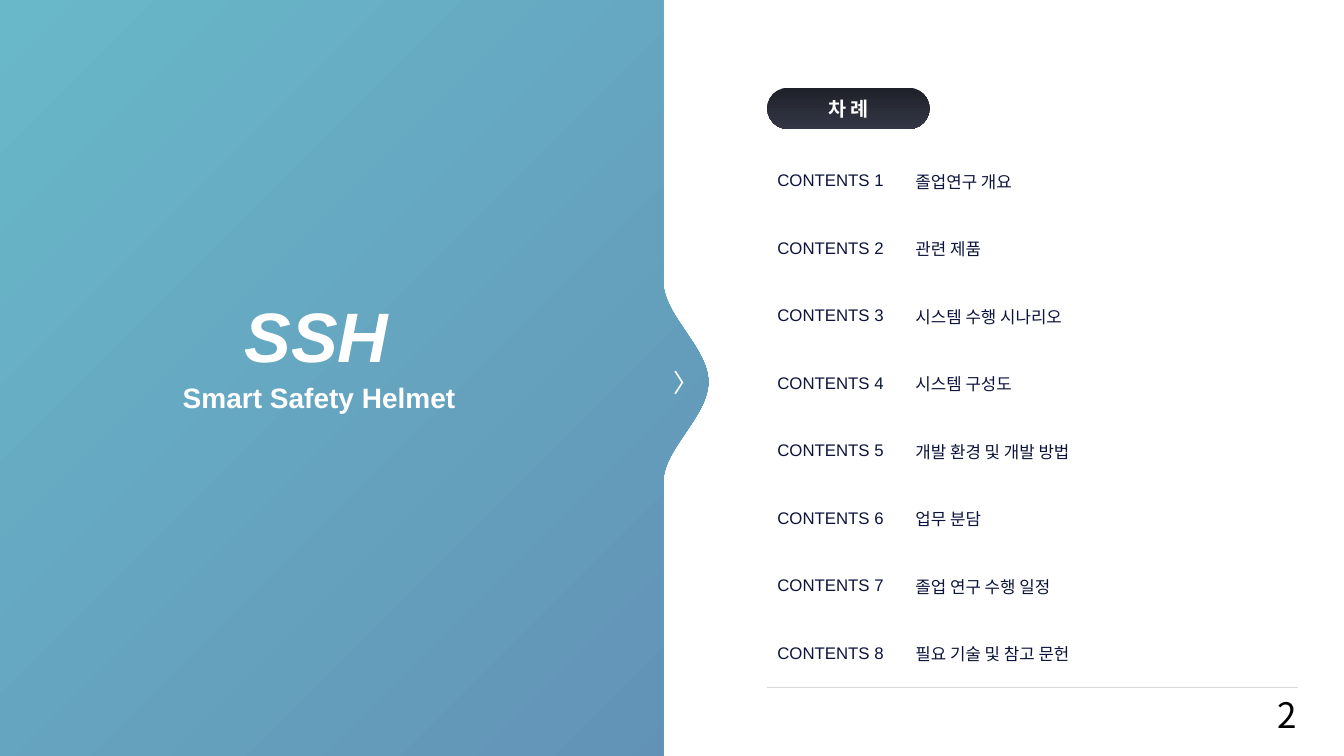
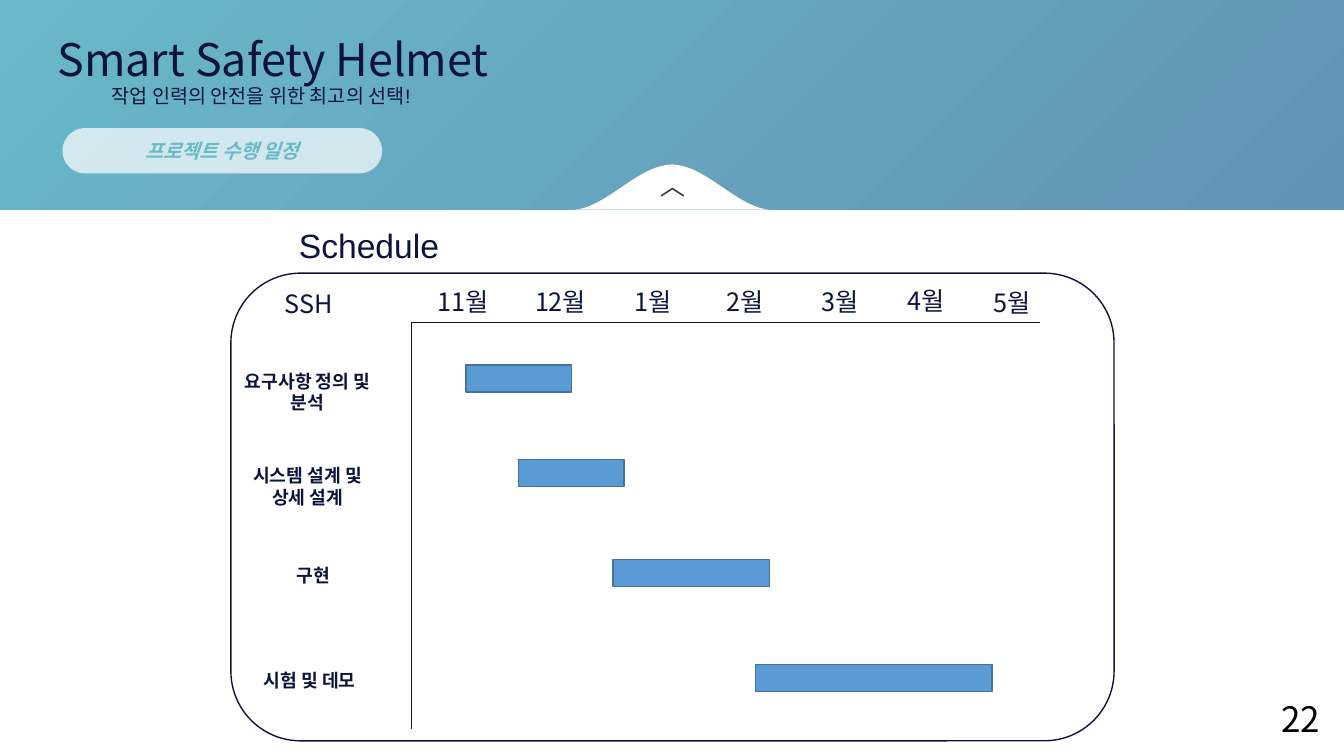
import pptx
import pptx.util
import pptx.dml.color
import pptx.enum.shapes
import pptx.enum.text
import pptx.oxml
import pptx.oxml.ns

Inches = pptx.util.Inches
RGBColor = pptx.dml.color.RGBColor
Shapes = pptx.enum.shapes.MSO_SHAPE
Align = pptx.enum.text.PP_ALIGN
Anchor = pptx.enum.text.MSO_ANCHOR

TEAL = RGBColor(0x69, 0xB8, 0xC9)
BLUE = RGBColor(0x62, 0x92, 0xB6)
PILL_TEAL = RGBColor(0x68, 0xBA, 0xC6)
PILL_TOP = RGBColor(0x1E, 0x21, 0x29)
PILL_BOTTOM = RGBColor(0x33, 0x37, 0x45)
CHEVRON_DARK = RGBColor(0x34, 0x38, 0x44)
NAVY = RGBColor(0x0D, 0x14, 0x3C)
BAR_FILL = RGBColor(0x5B, 0x9B, 0xD5)
BAR_LINE = RGBColor(0x43, 0x73, 0x9E)
WHITE = RGBColor(0xFF, 0xFF, 0xFF)
BLACK = RGBColor(0, 0, 0)
RULE_GRAY = "D9D9D9"

LATIN = "Arial"
KOREAN = "Noto Sans CJK KR"
WIDTH, HEIGHT = 13.33, 7.5
PANEL_WIDTH, BAND_HEIGHT = 6.58, 2.08

PROJECT = "Smart Safety Helmet"
CONTENTS = [
    "졸업연구 개요", "관련 제품", "시스템 수행 시나리오", "시스템 구성도",
    "개발 환경 및 개발 방법", "업무 분담", "졸업 연구 수행 일정", "필요 기술 및 참고 문헌",
]
COLUMN_WIDTHS = [1.37, 3.89]
ROW_HEIGHT = 0.67

# month, centre, top
MONTHS = [
    ("11월", 4.59, 2.79), ("12월", 5.56, 2.79), ("1월", 6.48, 2.79), ("2월", 7.39, 2.79),
    ("3월", 8.33, 2.79), ("4월", 9.19, 2.78), ("5월", 10.04, 2.8),
]
# task, label centre, label width, top, bar left, bar width
TASKS = [
    ("요구사항 정의 및 분석", 3.05, 1.64, 3.62, 4.62, 1.05),
    ("시스템 설계 및\n상세 설계", 3.05, 1.48, 4.56, 5.14, 1.05),
    ("구현", 3.11, 1.48, 5.55, 6.08, 1.55),
    ("시험 및 데모", 3.07, 1.48, 6.59, 7.49, 2.35),
]
AXES = [((4.08, 3.2), (4.08, 7.23)), ((4.08, 3.2), (10.32, 3.2))]


def inches(*lengths):
    return [Inches(length) for length in lengths]


def fill_text(frame, text, size, color, font=KOREAN, align=Align.LEFT, spacing=None, **styles):
    """Write one paragraph per line of text; styles are further font attributes."""
    formats = {"name": font, "size": pptx.util.Pt(size), **styles}
    frame.text = text
    for paragraph in frame.paragraphs:
        paragraph.alignment = align
        paragraph.line_spacing = spacing
        for run in paragraph.runs:
            for attribute, value in formats.items():
                setattr(run.font, attribute, value)
            run.font.color.rgb = color
            east_asian = pptx.oxml.parse_xml(
                f'<a:ea {pptx.oxml.ns.nsdecls("a")} typeface="{KOREAN}"/>')
            run.font._element.find(pptx.oxml.ns.qn("a:latin")).addnext(east_asian)


def add_text(slide, box, text, size, color, anchor=Anchor.TOP, wrap=True, rotation=0, **styles):
    shape = slide.shapes.add_textbox(*inches(*box))
    shape.rotation = rotation
    shape.text_frame.word_wrap = wrap
    shape.text_frame.vertical_anchor = anchor
    fill_text(shape.text_frame, text, size, color, **styles)


def paint(shape, fill=None, line=None, angle=315):
    """Fill with a colour, a pair of gradient colours or nothing."""
    shape.shadow.inherit = False
    if fill is None:
        shape.fill.background()
    elif isinstance(fill, RGBColor):
        shape.fill.solid()
        shape.fill.fore_color.rgb = fill
    else:
        shape.fill.gradient()
        shape.fill.gradient_angle = angle
        for stop, color in zip(shape.fill.gradient_stops, fill):
            stop.color.rgb = color
    if line is None:
        shape.line.fill.background()
    else:
        shape.line.color.rgb = line
        shape.line.width = pptx.util.Pt(1)


def add_box(slide, kind, box, corner=None, **colors):
    shape = slide.shapes.add_shape(kind, *inches(*box))
    if corner is not None:
        shape.adjustments[0] = corner
    paint(shape, **colors)
    return shape


def add_pill(slide, box, text, color, styles, **colors):
    pill = add_box(slide, Shapes.ROUNDED_RECTANGLE, box, corner=0.5, **colors)
    pill.text_frame.vertical_anchor = Anchor.MIDDLE
    fill_text(pill.text_frame, text, 14, color, align=Align.CENTER, bold=True, **styles)
    return pill


def add_outline(slide, points, fill):
    start, *others = [inches(*point) for point in points]
    builder = slide.shapes.build_freeform(*start, scale=1.0)
    builder.add_line_segments(others, close=True)
    paint(builder.convert_to_shape(), fill)


def wave():
    """Points (offset from the middle, height) of a bell two inches wide."""
    controls = [(-0.96, 0), (-0.66, 0.03), (-0.37, 0.39), (-0.07, 0.44)]
    steps = 24
    rise = [(-1, 0)]
    for step in range(steps + 1):
        t = step / steps
        weights = [(1 - t) ** 3, 3 * t * (1 - t) ** 2, 3 * t ** 2 * (1 - t), t ** 3]
        rise.append(tuple(sum(weight * point[axis] for weight, point in zip(weights, controls))
                          for axis in (0, 1)))
    fall = [(-offset, height) for offset, height in reversed(rise)]
    return rise + [(0, 0.45)] + fall


def add_page_number(slide, number, left, top):
    add_text(slide, (left, top, 3, 0.4), number, 25, BLACK, anchor=Anchor.MIDDLE,
             align=Align.RIGHT)


def add_chevron(slide, left, top, color, rotation=0):
    add_text(slide, (left, top, 0.34, 0.4), "〉", 18, color, wrap=False, rotation=rotation)


def add_contents_table(slide):
    frame = slide.shapes.add_table(
        len(CONTENTS), len(COLUMN_WIDTHS),
        *inches(7.61, 1.46, sum(COLUMN_WIDTHS), ROW_HEIGHT * len(CONTENTS)))
    table = frame.table
    table.first_row = table.horz_banding = False
    for column, width in zip(table.columns, COLUMN_WIDTHS):
        column.width = Inches(width)
    for number, (row, title) in enumerate(zip(table.rows, CONTENTS), 1):
        row.height = Inches(ROW_HEIGHT)
        for cell, text in zip(row.cells, (f"CONTENTS {number}", title)):
            cell.vertical_anchor = Anchor.MIDDLE
            fill_text(cell.text_frame, text, 12, NAVY, font=LATIN)
            cell.fill.background()
            border = pptx.oxml.parse_xml(
                f'<a:lnB {pptx.oxml.ns.nsdecls("a")} w="6350"><a:solidFill>'
                f'<a:srgbClr val="{RULE_GRAY}"/></a:solidFill></a:lnB>')
            cell._tc.get_or_add_tcPr().insert(0, border)


def build_contents(slide):
    middle = 3.79
    bulge = [(PANEL_WIDTH + height, middle + offset) for offset, height in wave()]
    panel = [(0, 0), (PANEL_WIDTH, 0), *bulge, (PANEL_WIDTH, HEIGHT), (0, HEIGHT)]
    add_outline(slide, panel, (TEAL, BLUE))
    add_chevron(slide, PANEL_WIDTH, 3.59, WHITE)
    heading = {"font": LATIN, "align": Align.CENTER, "bold": True}
    add_text(slide, (1.01, 3.73, 4.31, 0.44), PROJECT, 20, WHITE, **heading)
    add_text(slide, (0.4, 2.77, 5.48, 0.69), "SSH", 50, WHITE, anchor=Anchor.MIDDLE,
             spacing=1.5, italic=True, **heading)
    add_pill(slide, (7.61, 0.87, 1.61, 0.41), "차 례", WHITE, {},
             fill=(PILL_TOP, PILL_BOTTOM), angle=270)
    add_contents_table(slide)
    add_page_number(slide, "2", 9.96, 6.89)


def add_axis(slide, start, end):
    axis = slide.shapes.add_connector(pptx.enum.shapes.MSO_CONNECTOR.STRAIGHT,
                                      *inches(*start, *end))
    axis.line.color.rgb = NAVY
    axis.line.width = pptx.util.Pt(1)
    axis._element.spPr.append(
        pptx.oxml.parse_xml(f'<a:effectLst {pptx.oxml.ns.nsdecls("a")}/>'))


def build_schedule(slide):
    add_box(slide, Shapes.RECTANGLE, (0, 0, WIDTH, BAND_HEIGHT), fill=(TEAL, BLUE))
    notch = [(WIDTH / 2 + offset, BAND_HEIGHT - height) for offset, height in wave()]
    add_outline(slide, notch, WHITE)
    add_chevron(slide, 6.5, 1.7, CHEVRON_DARK, rotation=270)

    centred = {"align": Align.CENTER}
    add_text(slide, (0.35, 0.27, 4.72, 0.64), PROJECT, 32, NAVY, **centred)
    add_text(slide, (1.01, 0.78, 3.74, 0.34), "작업 인력의 안전을 위한 최고의 선택!", 14, NAVY,
             font=LATIN)
    pill = add_pill(slide, (0.62, 1.27, 3.17, 0.45), "프로젝트 수행 일정", PILL_TEAL,
                    {"italic": True}, fill=WHITE)
    pill_color = pill._element.spPr.find(".//" + pptx.oxml.ns.qn("a:srgbClr"))
    pill_color.append(pptx.oxml.parse_xml(
        f'<a:alpha {pptx.oxml.ns.nsdecls("a")} val="71000"/>'))

    add_text(slide, (2.14, 2.18, 3.04, 0.5), "Schedule", 24, NAVY, font=LATIN, **centred)
    add_box(slide, Shapes.ROUNDED_RECTANGLE, (2.29, 2.71, 8.76, 4.64), corner=0.149, line=NAVY)
    add_text(slide, (2.43, 2.81, 1.27, 0.4), "SSH", 18, NAVY, **centred)
    for start, end in AXES:
        add_axis(slide, start, end)
    for month, centre, top in MONTHS:
        add_text(slide, (centre - 0.52, top, 1.04, 0.4), month, 18, NAVY, **centred)
    for task, centre, width, top, bar_left, bar_width in TASKS:
        add_text(slide, (centre - width / 2, top, width, 0.54), task, 13, NAVY, bold=True,
                 **centred)
        add_box(slide, Shapes.RECTANGLE, (bar_left, top, bar_width, 0.27),
                fill=BAR_FILL, line=BAR_LINE)
    add_page_number(slide, "22", 10.19, 6.93)


def main():
    presentation = pptx.Presentation()
    presentation.slide_width, presentation.slide_height = inches(WIDTH, HEIGHT)
    for build in (build_contents, build_schedule):
        build(presentation.slides.add_slide(presentation.slide_layouts[6]))
    presentation.save("out.pptx")


if __name__ == "__main__":
    main()
